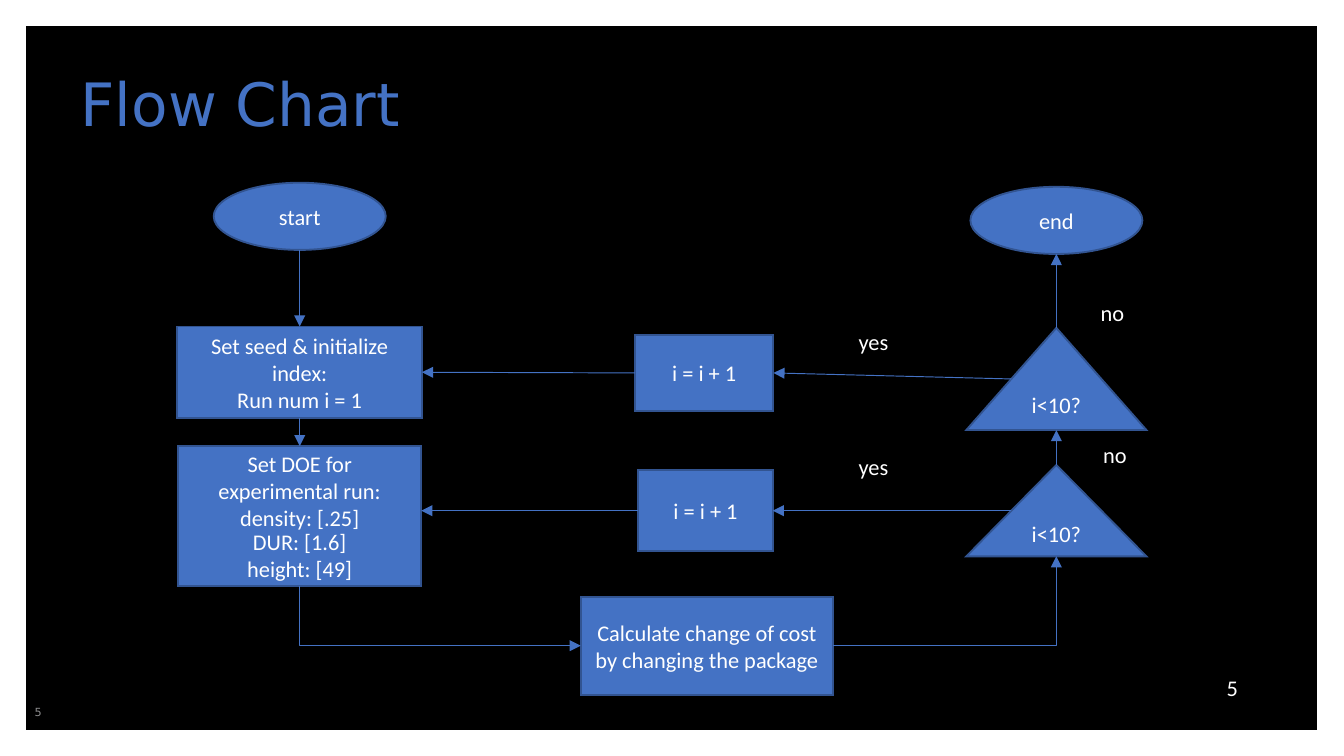
from lxml import etree
from pptx import Presentation
from pptx.dml.color import RGBColor
from pptx.enum.shapes import MSO_CONNECTOR, MSO_SHAPE
from pptx.enum.text import MSO_ANCHOR, PP_ALIGN
from pptx.oxml.ns import qn
from pptx.util import Inches, Pt

RECT, OVAL = MSO_SHAPE.RECTANGLE, MSO_SHAPE.OVAL
TRIANGLE = MSO_SHAPE.ISOSCELES_TRIANGLE
STRAIGHT, ELBOW = MSO_CONNECTOR.STRAIGHT, MSO_CONNECTOR.ELBOW
LEFT, CENTER, RIGHT = PP_ALIGN.LEFT, PP_ALIGN.CENTER, PP_ALIGN.RIGHT
TOP, MIDDLE, BOTTOM = MSO_ANCHOR.TOP, MSO_ANCHOR.MIDDLE, MSO_ANCHOR.BOTTOM

BLACK = RGBColor(0x00, 0x00, 0x00)
WHITE = RGBColor(0xFF, 0xFF, 0xFF)
BLUE = RGBColor(0x44, 0x72, 0xC4)
DARK_BLUE = RGBColor(0x32, 0x54, 0x91)
GRAY = RGBColor(0x8C, 0x8C, 0x8E)
BODY_FONT, TITLE_FONT = "Calibri", "DejaVu Sans"

WIDTH = 10
HEIGHT = WIDTH * 9 / 16
SETUP_X, CHECK_X = 2.23, 7.86

# name: (shape, centre x, top, width, height, lines)
NODES = {
    "start": (OVAL, SETUP_X, 1.36, 1.28, 0.5, ["start"]),
    "end": (OVAL, CHECK_X, 1.39, 1.28, 0.5, ["end"]),
    "seed": (RECT, SETUP_X, 2.43, 1.82, 0.68,
             ["Set seed & initialize index:", "Run num i = 1"]),
    "design": (RECT, SETUP_X, 3.32, 1.81, 1.04,
               ["Set DOE for experimental run:", "density: [.25]",
                "DUR: [1.6]", "height: [49]"]),
    "outer step": (RECT, 5.24, 2.49, 1.03, 0.57, ["i = i + 1"]),
    "inner step": (RECT, 5.25, 3.5, 1, 0.6, ["i = i + 1"]),
    "cost": (RECT, 5.26, 4.44, 1.88, 0.73,
             ["Calculate change of cost by changing the package"]),
    "outer check": (TRIANGLE, CHECK_X, 2.44, 1.34, 0.76, ["i<10?"]),
    "inner check": (TRIANGLE, CHECK_X, 3.46, 1.34, 0.68, ["i<10?"]),
}

# (from node, side, to node, side, connector kind)
LINKS = [
    ("start", "bottom", "seed", "top", STRAIGHT),
    ("seed", "bottom", "design", "top", STRAIGHT),
    ("design", "bottom", "cost", "left", ELBOW),
    ("cost", "right", "inner check", "bottom", ELBOW),
    ("inner check", "left", "inner step", "right", STRAIGHT),
    ("inner step", "left", "design", "level right", STRAIGHT),
    ("inner check", "top", "outer check", "bottom", STRAIGHT),
    ("outer check", "left", "outer step", "right", STRAIGHT),
    ("outer step", "left", "seed", "right", STRAIGHT),
    ("outer check", "top", "end", "bottom", STRAIGHT),
]
SIDES = ["top", "left", "bottom", "right"]

# (text, left, top, width)
BRANCH_LABELS = [
    ("no", 8.11, 3.23, 0.39),
    ("yes", 6.29, 3.32, 0.63),
    ("yes", 6.29, 2.39, 0.63),
    ("no", 8.09, 2.18, 0.39),
]


def place(box, left, top, width, height):
    box.left, box.top = Inches(left), Inches(top)
    box.width, box.height = Inches(width), Inches(height)


def write(box, lines, size=12, font=BODY_FONT, color=WHITE,
          align=CENTER, anchor=MIDDLE):
    frame = box.text_frame
    frame.word_wrap = True
    frame.vertical_anchor = anchor
    for index, line in enumerate(lines):
        para = frame.add_paragraph() if index else frame.paragraphs[0]
        para.alignment = align
        span = para.add_run()
        span.text = line
        span.font.size, span.font.name = Pt(size), font
        span.font.color.rgb = color
    return frame


def add_text(page, text, left, top, width, height, **style):
    box = page.shapes.add_textbox(0, 0, 0, 0)
    place(box, left, top, width, height)
    return write(box, [text], **style)


def add_block(page, kind, left, top, width, height, fill, line, weight):
    box = page.shapes.add_shape(kind, 0, 0, 0, 0)
    place(box, left, top, width, height)
    box.shadow.inherit = False
    box.fill.solid()
    box.fill.fore_color.rgb = fill
    box.line.color.rgb = line
    box.line.width = Pt(weight)
    outline = box.element.spPr.find(qn("a:ln"))
    etree.SubElement(outline, qn("a:miter"), lim="800000")
    return box


def side_point(name, side):
    kind, center, top, width, height, _ = NODES[name]
    reach = width / 4 if kind == TRIANGLE else width / 2
    return {
        "top": (center, top),
        "left": (center - reach, top + height / 2),
        "bottom": (center, top + height),
        "right": (center + reach, top + height / 2),
    }[side]


def turn_down_first(link, start, end):
    """Lay the single-bend connector so that it runs down, then right."""
    across, down = end[0] - start[0], end[1] - start[1]
    middle_x, middle_y = (start[0] + end[0]) / 2, (start[1] + end[1]) / 2
    place(link, middle_x - down / 2, middle_y - across / 2, down, across)
    frame = link.element.spPr.find(qn("a:xfrm"))
    frame.set("rot", str(270 * 60000))
    frame.set("flipH", "1")


def add_link(page, boxes, source, source_side, target, target_side, kind):
    """Draw an arrow; a "level" target side keeps the height of the start."""
    start = side_point(source, source_side)
    end = side_point(target, target_side.removeprefix("level "))
    if target_side not in SIDES:
        end = (end[0], start[1])
    link = page.shapes.add_connector(kind, *map(Inches, start + end))
    if NODES[source][0] == RECT:
        link.begin_connect(boxes[source], SIDES.index(source_side))
    if NODES[target][0] == RECT and target_side in SIDES:
        link.end_connect(boxes[target], SIDES.index(target_side))
    link.line.color.rgb = BLUE
    link.line.width = Pt(0.5)
    properties = link.element.spPr
    etree.SubElement(properties.find(qn("a:ln")), qn("a:tailEnd"), type="triangle")
    etree.SubElement(properties, qn("a:effectLst"))
    if kind == ELBOW:
        properties.find(qn("a:prstGeom")).set("prst", "bentConnector2")
        if source_side == "bottom":
            turn_down_first(link, start, end)


def main():
    deck = Presentation()
    deck.slide_width, deck.slide_height = Inches(WIDTH), Inches(HEIGHT)
    page = deck.slides.add_slide(deck.slide_layouts[5])
    page.background.fill.solid()
    page.background.fill.fore_color.rgb = BLACK

    border = add_block(page, RECT, 0, 0, WIDTH, HEIGHT, WHITE, WHITE, 1)
    border.line.fill.background()
    add_block(page, RECT, 0.26, 0.26, 9.47, 5.1, BLACK, BLACK, 10)

    title = page.shapes.title
    title.element.getparent().append(title.element)  # in front of the panel
    place(title, 0.5, 0, 9, 1.09)
    heading = write(title, ["Flow Chart"], 32, TITLE_FONT, BLUE, LEFT, BOTTOM)
    heading.paragraphs[0].line_spacing = 0.9

    number = add_text(page, "5", 7.06, 4.98, 2.25, 0.3, align=RIGHT)
    number.paragraphs[0].line_spacing = 0.9
    number.paragraphs[0].space_after = Pt(6)
    add_text(page, "5", 0, 5.05, 0.57, 0.49, size=6, font=TITLE_FONT, color=GRAY)

    boxes = {}
    for name, (kind, center, top, width, height, lines) in NODES.items():
        boxes[name] = add_block(page, kind, center - width / 2, top, width, height,
                                BLUE, DARK_BLUE, 1)
        write(boxes[name], lines)
    boxes["design"].text_frame.paragraphs[2].line_spacing = 0.9

    for link in LINKS:
        add_link(page, boxes, *link)
    for text, left, top, width in BRANCH_LABELS:
        add_text(page, text, left, top, width, 0.3, align=LEFT, anchor=TOP)

    deck.save("out.pptx")


if __name__ == "__main__":
    main()
